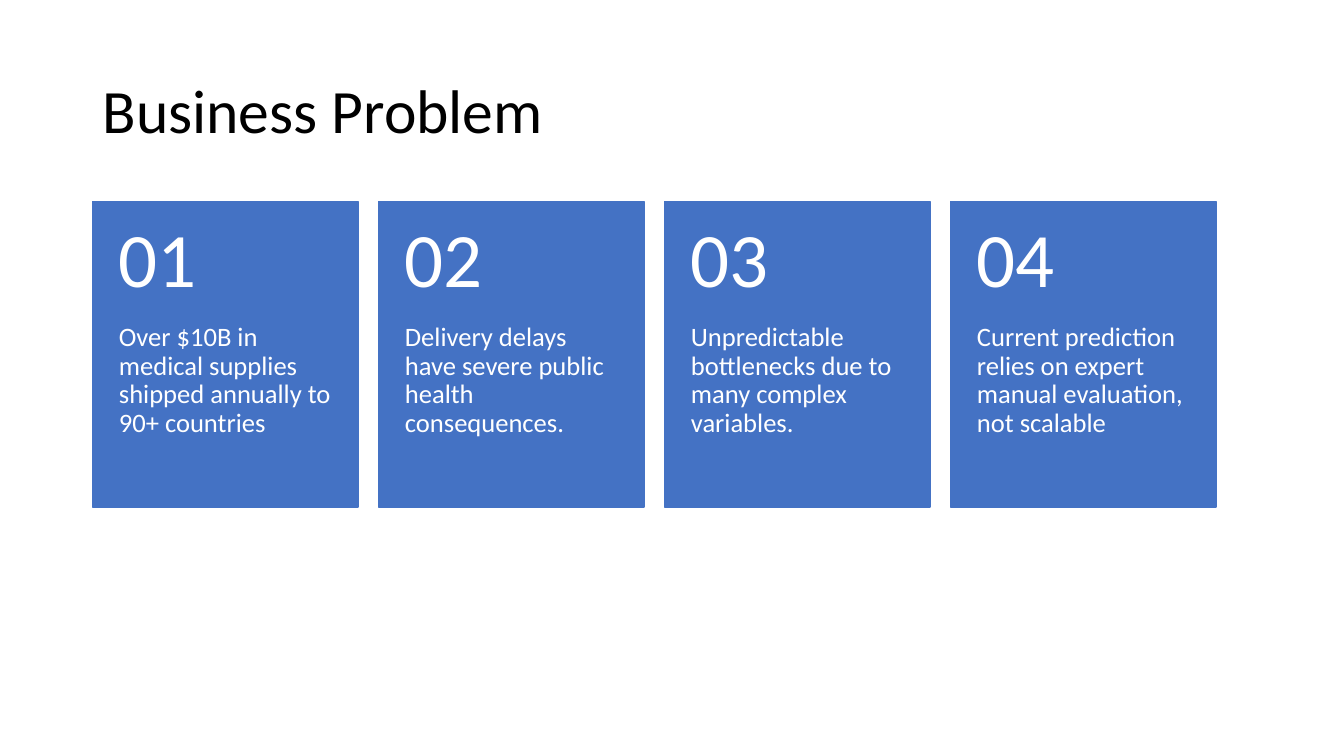
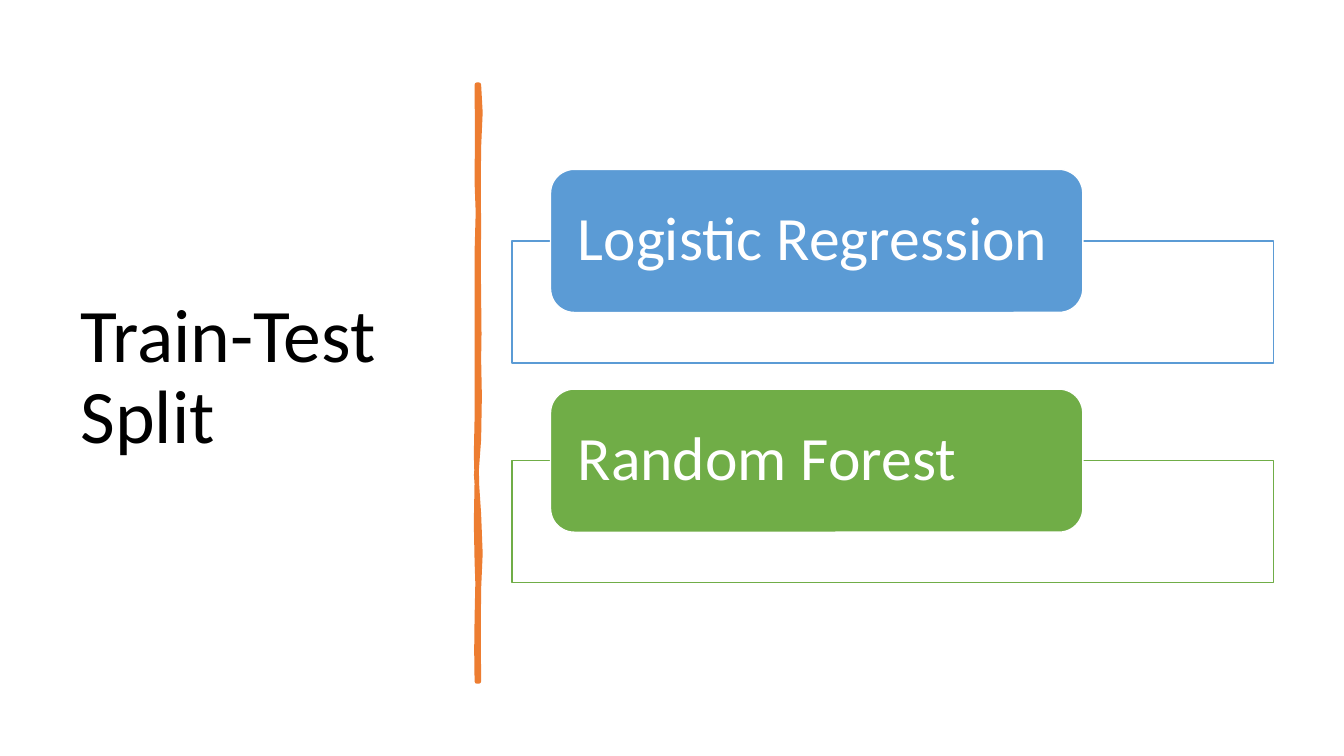
from dataclasses import dataclass

import pptx
import pptx.dml.color
import pptx.enum.shapes
import pptx.enum.text
import pptx.presentation
import pptx.shapes.autoshape
import pptx.slide
import pptx.text.text
import pptx.util

Inches = pptx.util.Inches
Pt = pptx.util.Pt
RGBColor = pptx.dml.color.RGBColor
Preset = pptx.enum.shapes.MSO_SHAPE
Anchor = pptx.enum.text.MSO_ANCHOR
Align = pptx.enum.text.PP_ALIGN
Point = tuple[float, float]

FONT = "Calibri"
BLACK = RGBColor(0x00, 0x00, 0x00)
WHITE = RGBColor(0xFF, 0xFF, 0xFF)
BLUE = RGBColor(0x44, 0x72, 0xC4)
ORANGE = RGBColor(0xED, 0x7D, 0x31)
SKY = RGBColor(0x5B, 0x9B, 0xD5)
GREEN = RGBColor(0x70, 0xAD, 0x47)

CARDS_LEFT, CARDS_RIGHT, CARD_TOP = 0.92, 12.06, 2
CARD_WIDTH, CARD_HEIGHT = 2.63, 3.03
NUMBER_HEIGHT = 1.21
MODEL_TOP, MODEL_STEP = 1.68, 2.18
STROKE_START = (4.75, 0.84)
STROKE_CURVES = (
    ((4.77, 1.02), (4.77, 1.19), (4.75, 1.46)),
    ((4.73, 1.73), (4.76, 1.95), (4.75, 2.26)),
    ((4.74, 2.57), (4.75, 2.62), (4.75, 2.94)),
    ((4.74, 3.25), (4.77, 3.42), (4.75, 3.56)),
    ((4.73, 3.7), (4.79, 4.14), (4.75, 4.36)),
    ((4.71, 4.57), (4.72, 4.84), (4.75, 5.1)),
    ((4.77, 5.36), (4.77, 5.64), (4.75, 5.84)),
    ((4.73, 6.03), (4.76, 6.5), (4.75, 6.76)),
    ((4.74, 6.76), (4.73, 6.76), (4.73, 6.76)),
    ((4.74, 6.46), (4.71, 6.44), (4.73, 6.13)),
    ((4.74, 5.83), (4.74, 5.7), (4.73, 5.57)),
    ((4.72, 5.44), (4.72, 4.95), (4.73, 4.77)),
    ((4.73, 4.59), (4.71, 4.45), (4.73, 4.15)),
    ((4.74, 3.86), (4.72, 3.73), (4.73, 3.35)),
    ((4.74, 2.98), (4.72, 2.81), (4.73, 2.5)),
    ((4.74, 2.18), (4.75, 2), (4.73, 1.81)),
    ((4.7, 1.63), (4.77, 1.04), (4.73, 0.84)),
)


@dataclass(frozen=True)
class Box:
    left: float
    top: float
    width: float
    height: float

    def lengths(self) -> tuple[int, ...]:
        return tuple(Inches(v) for v in (self.left, self.top, self.width, self.height))


@dataclass(frozen=True)
class TextStyle:
    size: int
    color: RGBColor = WHITE
    insets: tuple[float, float, float, float] = (0.1, 0.05, 0.1, 0.05)
    anchor: Anchor = Anchor.MIDDLE


@dataclass(frozen=True)
class Card:
    number: str
    message: str


@dataclass(frozen=True)
class Model:
    name: str
    color: RGBColor


NUMBER_STYLE = TextStyle(55, insets=(0.26, 0.18, 0.26, 0.18))
MESSAGE_STYLE = TextStyle(19, insets=(0.26, 0, 0.26, 0.36), anchor=Anchor.TOP)
MODEL_STYLE = TextStyle(44, insets=(0.2, 0, 0.2, 0))
CARDS = (
    Card("01", "Over $10B in medical supplies shipped annually to 90+ countries"),
    Card("02", "Delivery delays have severe public health consequences."),
    Card("03", "Unpredictable bottlenecks due to many complex variables."),
    Card("04", "Current prediction relies on expert manual evaluation, not scalable"),
)
CARD_STEP = (CARDS_RIGHT - CARDS_LEFT - CARD_WIDTH) / (len(CARDS) - 1)
MODELS = (Model("Logistic Regression", SKY), Model("Random Forest", GREEN))


def write(frame: pptx.text.text.TextFrame, text: str, style: TextStyle) -> None:
    frame.text = text
    frame.word_wrap = True
    frame.vertical_anchor = style.anchor
    frame.margin_left, frame.margin_top, frame.margin_right, frame.margin_bottom = (
        Inches(inset) for inset in style.insets
    )
    paragraph = frame.paragraphs[0]
    paragraph.alignment = Align.LEFT
    paragraph.line_spacing = 0.9
    font = paragraph.runs[0].font
    font.name = FONT
    font.size = Pt(style.size)
    font.color.rgb = style.color


def add_text(slide: pptx.slide.Slide, box: Box, text: str, style: TextStyle) -> None:
    write(slide.shapes.add_textbox(*box.lengths()).text_frame, text, style)


def paint(shape: pptx.shapes.autoshape.Shape, fill: RGBColor, line: RGBColor, width: float = 1) -> None:
    shape.shadow.inherit = False
    shape.fill.solid()
    shape.fill.fore_color.rgb = fill
    shape.line.color.rgb = line
    shape.line.width = Pt(width)


def add_panel(slide: pptx.slide.Slide, preset: Preset, box: Box, fill: RGBColor, line: RGBColor) -> None:
    paint(slide.shapes.add_shape(preset, *box.lengths()), fill, line)


def add_titled_slide(deck: pptx.presentation.Presentation, title: str, box: Box, size: int) -> pptx.slide.Slide:
    slide = deck.slides.add_slide(deck.slide_layouts[6])
    add_text(slide, box, title, TextStyle(size, BLACK))
    return slide


def add_card(slide: pptx.slide.Slide, index: int, card: Card) -> None:
    left = CARDS_LEFT + index * CARD_STEP
    add_panel(slide, Preset.RECTANGLE, Box(left, CARD_TOP, CARD_WIDTH, CARD_HEIGHT), BLUE, BLUE)
    message_box = Box(left, CARD_TOP + NUMBER_HEIGHT, CARD_WIDTH, CARD_HEIGHT - NUMBER_HEIGHT)
    add_text(slide, message_box, card.message, MESSAGE_STYLE)
    add_text(slide, Box(left, CARD_TOP, CARD_WIDTH, NUMBER_HEIGHT), card.number, NUMBER_STYLE)


def add_model(slide: pptx.slide.Slide, index: int, model: Model) -> None:
    top = MODEL_TOP + index * MODEL_STEP
    add_panel(slide, Preset.RECTANGLE, Box(5.08, top + 0.71, 7.55, 1.21), WHITE, model.color)
    add_panel(slide, Preset.ROUNDED_RECTANGLE, Box(5.46, top, 5.28, 1.42), model.color, WHITE)
    add_text(slide, Box(5.53, top + 0.07, 5.14, 1.28), model.name, MODEL_STYLE)


def curve_middle(corners: tuple[Point, ...]) -> Point:
    x, y = (sum(w * c[axis] for w, c in zip((1, 3, 3, 1), corners)) / 8 for axis in (0, 1))
    return x, y


def add_brush_stroke(slide: pptx.slide.Slide) -> None:
    outline = []
    start = STROKE_START
    for curve in STROKE_CURVES:
        outline += [curve_middle((start, *curve)), curve[-1]]
        start = curve[-1]
    builder = slide.shapes.build_freeform(*(Inches(v) for v in STROKE_START))
    builder.add_line_segments([(Inches(x), Inches(y)) for x, y in outline], close=True)
    paint(builder.convert_to_shape(), ORANGE, ORANGE, 3.25)


def main() -> None:
    deck = pptx.Presentation()
    deck.slide_width, deck.slide_height = Inches(13.33), Inches(7.5)

    problem = add_titled_slide(deck, "Business Problem", Box(0.92, 0.4, 11.5, 1.45), 44)
    for index, card in enumerate(CARDS):
        add_card(problem, index, card)

    split = add_titled_slide(deck, "Train-Test Split", Box(0.7, 0.7, 3.74, 6.11), 54)
    add_brush_stroke(split)
    for index, model in enumerate(MODELS):
        add_model(split, index, model)

    deck.save("out.pptx")


if __name__ == "__main__":
    main()
